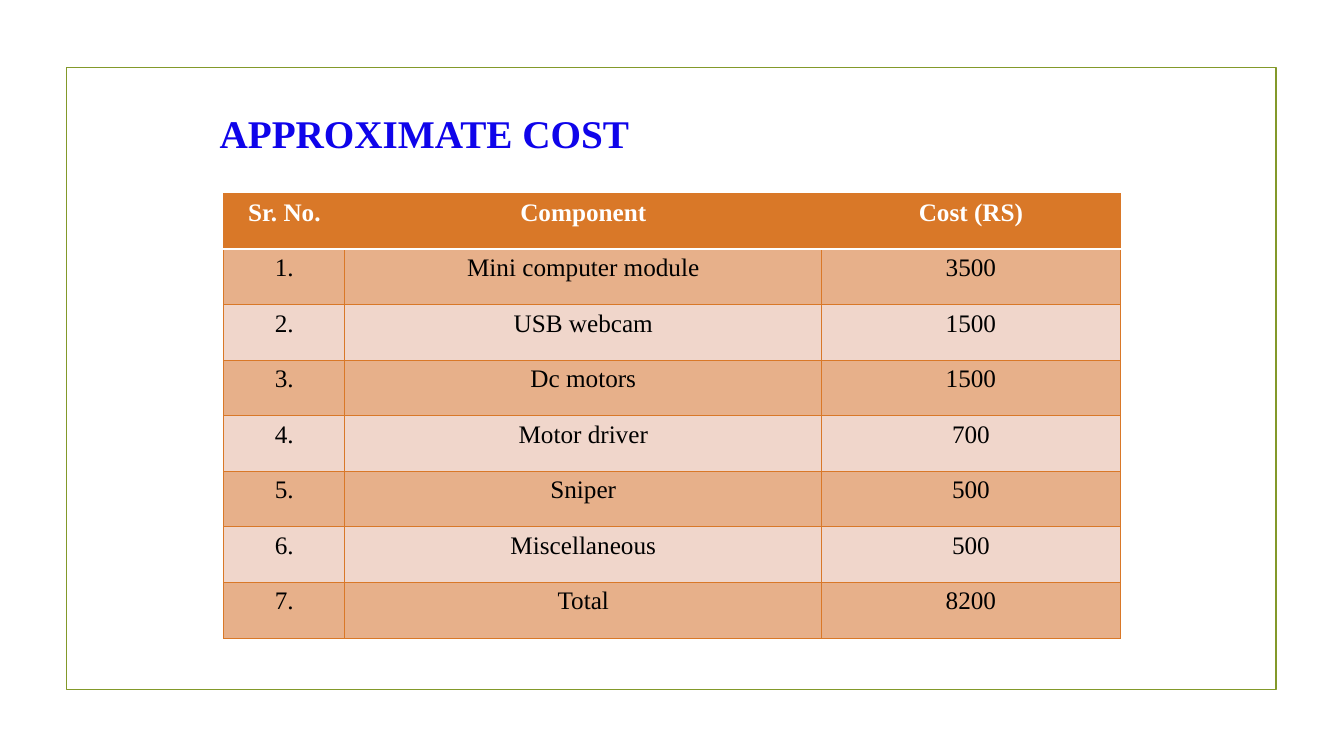
from lxml import etree
from pptx import Presentation
from pptx.dml.color import RGBColor
from pptx.enum.shapes import MSO_SHAPE
from pptx.enum.text import MSO_ANCHOR, PP_ALIGN
from pptx.oxml.ns import qn
from pptx.util import Inches, Pt

RECT = MSO_SHAPE.RECTANGLE
MIDDLE = MSO_ANCHOR.MIDDLE
CENTER = PP_ALIGN.CENTER

FONT = "Times New Roman"
ORANGE, WHITE, BLACK = "D97828", "FFFFFF", "000000"
BANDS = ["F0D6CB", "E7B08A"]
WIDTHS = [1.2, 4.73, 2.96]
HEADS = ["Sr. No.", "Component", "Cost (RS)"]
COSTS = [
    ("Mini computer module", 3500),
    ("USB webcam", 1500),
    ("Dc motors", 1500),
    ("Motor driver", 700),
    ("Sniper", 500),
    ("Miscellaneous", 500),
    ("Total", 8200),
]


def color(code):
    return RGBColor.from_string(code)


def style(para, size, code, bold):
    font = para.font
    font.name, font.size, font.bold = FONT, Pt(size), bold
    font.color.rgb = color(code)


def add_frame(slide, left, top, width, height):
    frame = slide.shapes.add_shape(
        RECT, Inches(left), Inches(top), Inches(width), Inches(height))
    frame.shadow.inherit = False
    frame.fill.background()
    frame.line.color.rgb = color("83992A")
    frame.line.width = Pt(1.25)


def add_title(slide, left, top, width, height):
    box = slide.shapes.add_textbox(
        Inches(left), Inches(top), Inches(width), Inches(height))
    text = box.text_frame
    text.word_wrap = True
    text.vertical_anchor = MIDDLE
    para = text.paragraphs[0]
    para.text = "APPROXIMATE COST"
    style(para, 28, "0F04EA", True)
    para._p.get_or_add_pPr().set("indent", str(Inches(0.5)))


def set_edge(cell, side, code, width):
    """Draw one cell border; the edges must precede the cell's fill."""
    props = cell._tc.get_or_add_tcPr()
    edge = etree.SubElement(props, qn(f"a:ln{side}"), w=str(Pt(width)))
    fill = etree.SubElement(edge, qn("a:solidFill"))
    etree.SubElement(fill, qn("a:srgbClr"), val=code)


def fill_cell(cell, value, row):
    head = row == 0
    for side in "LRTB":
        split = (row, side) in ((0, "B"), (1, "T"))
        set_edge(cell, side, *((WHITE, 1.25) if split else (ORANGE, 0.75)))
    cell.fill.solid()
    cell.fill.fore_color.rgb = color(ORANGE if head else BANDS[row % 2])
    para = cell.text_frame.paragraphs[0]
    para.text = str(value)
    para.alignment = CENTER
    style(para, 18, WHITE if head else BLACK, head)


def add_costs(slide, left, top, width, height):
    rows = [HEADS] + [(f"{num}.", *cost) for num, cost in enumerate(COSTS, 1)]
    table = slide.shapes.add_table(
        len(rows), len(HEADS), Inches(left), Inches(top),
        Inches(width), Inches(height)).table
    for column, share in zip(table.columns, WIDTHS):
        column.width = Inches(width * share / sum(WIDTHS))
    for row, values in enumerate(rows):
        for col, value in enumerate(values):
            fill_cell(table.cell(row, col), value, row)


def main():
    deck = Presentation()
    deck.slide_width, deck.slide_height = Inches(13.33), Inches(7.5)
    slide = deck.slides.add_slide(deck.slide_layouts[6])
    add_frame(slide, 0.66, 0.67, 12, 6.17)
    add_title(slide, 1.58, 1.03, 5.83, 0.57)
    add_costs(slide, 2.22, 1.92, 8.89, 4.41)
    deck.save("out.pptx")


if __name__ == "__main__":
    main()
